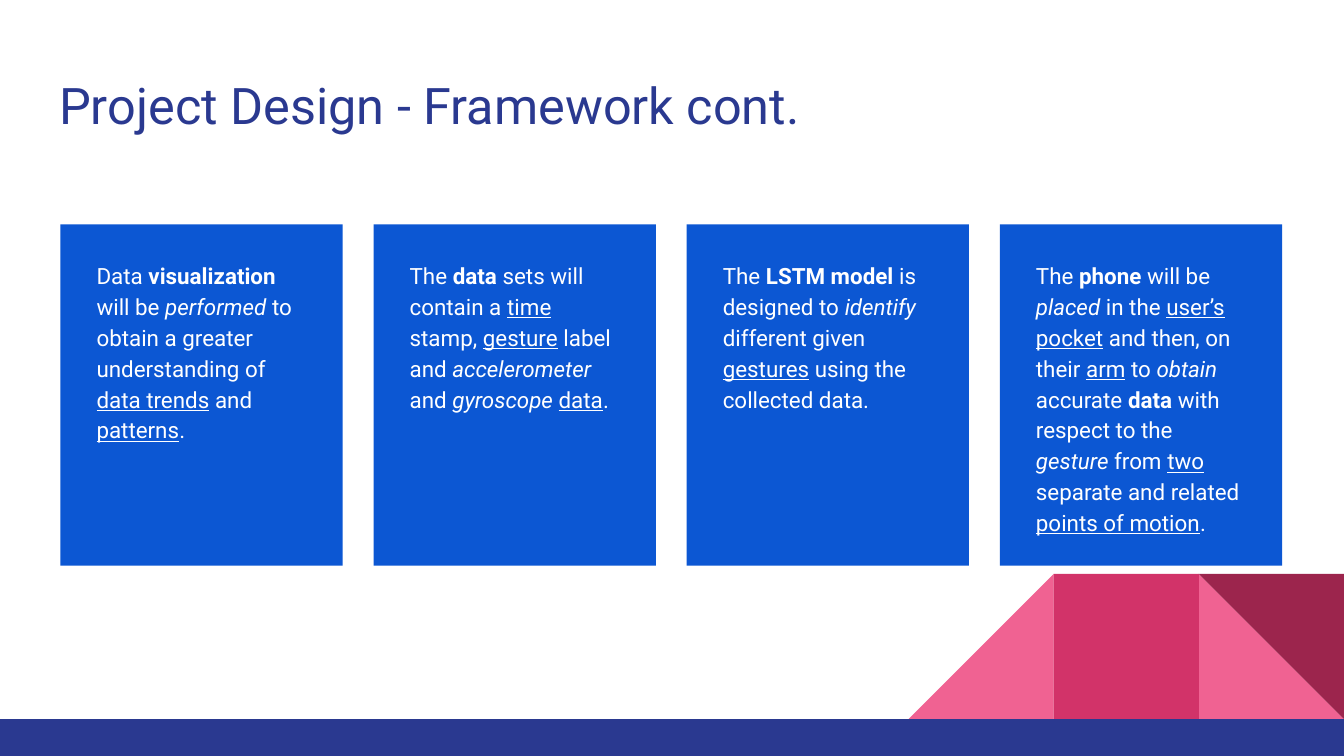
from pptx import Presentation
from pptx.dml.color import RGBColor
from pptx.enum.shapes import MSO_SHAPE
from pptx.enum.text import MSO_ANCHOR, MSO_AUTO_SIZE, PP_ALIGN
from pptx.util import Inches, Pt

NAVY = "2A3990"
BLUE = "0C57D3"
PINK = "F06292"
ROSE = "D23369"
WINE = "9C254D"
WHITE = "FFFFFF"

CARDS = [
    [("Data ", ""), ("visualization ", "b"), ("will be ", ""),
     ("performed ", "i"), ("to obtain a greater understanding of ", ""),
     ("data trends", "u"), (" and ", ""), ("patterns", "u"), (".", "")],
    [("The ", ""), ("data ", "b"), ("sets will contain a ", ""),
     ("time", "u"), (" stamp, ", ""), ("gesture", "u"),
     (" label and ", ""), ("accelerometer ", "i"), ("and ", ""),
     ("gyroscope ", "i"), ("data", "u"), (".", "")],
    [("The ", ""), ("LSTM model ", "b"), ("is designed to ", ""),
     ("identify ", "i"), ("different given ", ""), ("gestures", "u"),
     (" using the collected data.", "")],
    [("The ", ""), ("phone ", "b"), ("will be ", ""), ("placed ", "i"),
     ("in the ", ""), ("user’s pocket", "u"),
     (" and then, on their ", ""), ("arm", "u"), (" to ", ""),
     ("obtain ", "i"), ("accurate ", ""), ("data ", "b"),
     ("with respect to the ", ""), ("gesture ", "i"), ("from ", ""),
     ("two", "u"), (" separate and related ", ""),
     ("points of motion", "u"), (".", "")],
]


def color(value):
    return RGBColor.from_string(value)


def add_block(page, kind, left, top, width, height, fill, rotation=0):
    block = page.shapes.add_shape(
        kind, Inches(left), Inches(top), Inches(width), Inches(height))
    block.shadow.inherit = False
    block.fill.solid()
    block.fill.fore_color.rgb = color(fill)
    block.line.fill.background()
    block.rotation = rotation


def set_frame(frame):
    frame.word_wrap = True
    frame.auto_size = MSO_AUTO_SIZE.NONE
    frame.margin_left = frame.margin_right = Inches(0.1)
    frame.margin_top = frame.margin_bottom = Inches(0.1)


def add_span(para, text, size, fill, style=""):
    span = para.add_run()
    span.text = text
    span.font.name = "Roboto"
    span.font.size = Pt(size)
    span.font.color.rgb = color(fill)
    span.font.bold = "b" in style
    span.font.italic = "i" in style
    span.font.underline = "u" in style


def add_decoration(page, left, top, side):
    triangle = MSO_SHAPE.RIGHT_TRIANGLE
    tiles = [(2, triangle, PINK, 0), (0, triangle, PINK, 270),
             (1, MSO_SHAPE.RECTANGLE, ROSE, 0), (2, triangle, WINE, 180)]
    for column, kind, fill, rotation in tiles:
        add_block(page, kind, left + column * side, top, side, side,
                  fill, rotation)


def add_title(page, left, top, width, height):
    title = page.shapes.title
    title.left, title.top = Inches(left), Inches(top)
    title.width, title.height = Inches(width), Inches(height)
    frame = title.text_frame
    set_frame(frame)
    frame.vertical_anchor = MSO_ANCHOR.MIDDLE
    para = frame.paragraphs[0]
    para.alignment = PP_ALIGN.LEFT
    add_span(para, "Project Design - Framework cont.", 27, NAVY)


def add_card(page, left, top, width, height, spans):
    add_block(page, MSO_SHAPE.RECTANGLE, left, top, width, height, BLUE)
    box = page.shapes.add_textbox(
        Inches(left + 0.17), Inches(top + 0.15),
        Inches(width - 0.34), Inches(height - 0.42))
    set_frame(box.text_frame)
    para = box.text_frame.paragraphs[0]
    para.line_spacing = 1.15
    para.space_after = Pt(12)
    for text, style in spans:
        add_span(para, text, 12, WHITE, style)


def main():
    deck = Presentation()
    deck.slide_width, deck.slide_height = Inches(10), Inches(10 * 9 / 16)
    page = deck.slides.add_slide(deck.slide_layouts[5])
    add_decoration(page, 6.76, 4.27, 1.08)
    add_block(page, MSO_SHAPE.RECTANGLE, 0, 5.35, 10, 0.28, NAVY)
    add_title(page, 0.34, 0.45, 9.32, 0.66)
    for column, spans in enumerate(CARDS):
        add_card(page, 0.45 + column * 2.33, 1.67, 2.1, 2.54, spans)
    deck.save("out.pptx")


if __name__ == "__main__":
    main()
